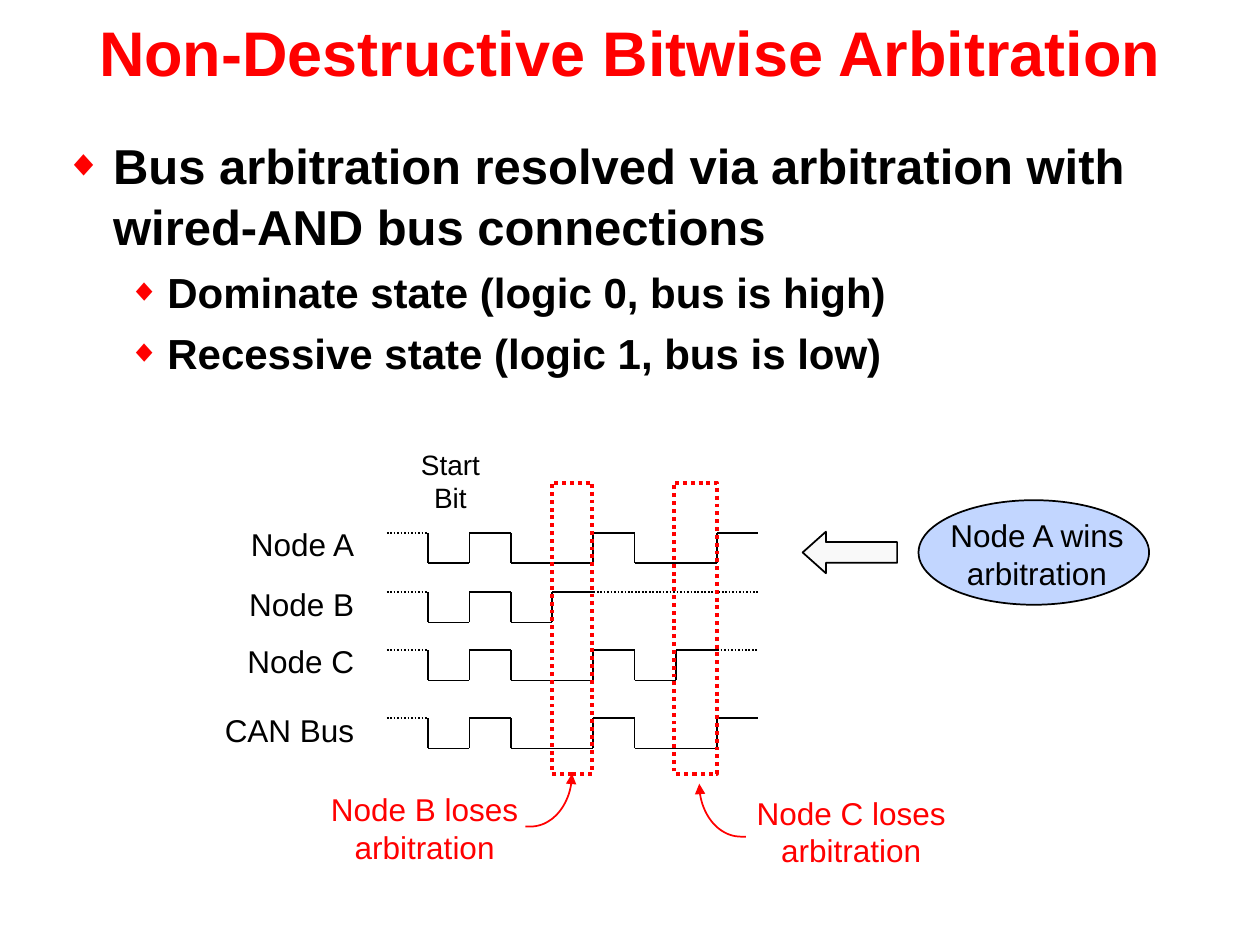
"""Build a slide on bitwise bus arbitration with a timing diagram."""
import math
from dataclasses import dataclass

from lxml import etree
from pptx import Presentation
from pptx import util as u
from pptx.dml.color import RGBColor
from pptx.enum import dml, shapes, text
from pptx.oxml import ns


@dataclass(frozen=True)
class Theme:
    font: str = "Arial"
    ink: RGBColor = RGBColor(0, 0, 0)
    accent: RGBColor = RGBColor(255, 0, 0)
    winner: RGBColor = RGBColor.from_string("C2D6FF")
    arrow: RGBColor = RGBColor.from_string("F9F9F9")
    title: int = 36
    body: int = 28
    detail: int = 24
    label: int = 18
    small: int = 16
    thin: float = 1
    thick: float = 2.25


theme = Theme()
presentation = Presentation()
presentation.slide_width = u.Inches(10)
presentation.slide_height = u.Inches(7.5)
slide = presentation.slides.add_slide(presentation.slide_layouts[6])
cell = presentation.slide_width / 100


def grid(*cells):
    return [u.Emu(round(count * cell)) for count in cells]


def write(lines, box, size, color=theme.ink, align=text.PP_ALIGN.CENTER, bold=False):
    frame = slide.shapes.add_textbox(*grid(*box)).text_frame
    frame.word_wrap = True
    frame.text = "\n".join(lines)
    for paragraph in frame.paragraphs:
        paragraph.alignment = align
        paragraph.font.name = theme.font
        paragraph.font.size = u.Pt(size)
        paragraph.font.color.rgb = color
        paragraph.font.bold = bold
    return frame


title = write(["Non-Destructive Bitwise Arbitration"], (0, 0, 100, 8.1),
              theme.title, theme.accent, bold=True)
title.vertical_anchor = text.MSO_ANCHOR.MIDDLE

points = [
    ("Bus arbitration resolved via arbitration with wired-AND bus connections", 0, theme.body, 3.8, -3.8),
    ("Dominate state (logic 0, bus is high)", 1, theme.detail, 8.1, -3.1),
    ("Recessive state (logic 1, bus is low)", 1, theme.detail, 8.1, -3.1),
]
body = slide.shapes.add_textbox(*grid(4.2, 10, 90, 22.5)).text_frame
body.word_wrap = True
body.text = "\n".join(point[0] for point in points)
for paragraph, (wording, level, size, margin, indent) in zip(body.paragraphs, points):
    properties = paragraph._p.get_or_add_pPr()
    for name, length in zip(("marL", "indent"), grid(margin, indent)):
        properties.set(name, str(length))
    bullet_color = etree.SubElement(properties, ns.qn("a:buClr"))
    etree.SubElement(bullet_color, ns.qn("a:srgbClr"), val=str(theme.accent))
    etree.SubElement(properties, ns.qn("a:buSzPct"), val="75000")
    etree.SubElement(properties, ns.qn("a:buFont"), typeface=theme.font)
    etree.SubElement(properties, ns.qn("a:buChar"), char="◆")
    paragraph.level = level
    paragraph.line_spacing = 1.05
    if level:
        paragraph.space_before = u.Pt(size * 0.2)
    paragraph.font.name = theme.font
    paragraph.font.size = u.Pt(size)
    paragraph.font.bold = True
    paragraph.font.color.rgb = theme.ink

ellipse = slide.shapes.add_shape(shapes.MSO_SHAPE.OVAL, *grid(72.9, 39.7, 18.3, 8.3))
write(["Node A wins arbitration"], (72.7, 40.5, 19.2, 7), theme.label)
write(["Start", "Bit"], (32.4, 35, 6.7, 6.4), theme.small)

first_edge, last_edge, bits = 30.7, 60.2, 9
edges = [first_edge + (last_edge - first_edge) * bit / bits for bit in range(bits + 1)]
swing = 2.4
signals = [
    ("Node A", 42.3, ".LHLLHLLH"),
    ("Node B", 47, ".LHLH."),
    ("Node C", 51.6, ".LHLLHLH."),
    ("CAN Bus", 57, ".LHLLHLLH"),
]
segments = []
for name, high, levels in signals:
    write([name], (16, high - 1.1, 13.1, 4), theme.label, align=text.PP_ALIGN.RIGHT)
    heights = [high + swing * (level == "L") for level in levels]
    for bit, (level, height) in enumerate(zip(levels, heights)):
        finish = edges[-1] if bit == len(levels) - 1 else edges[bit + 1]
        segments.append((edges[bit], height, finish, height, level == "."))
        if bit and heights[bit - 1] != height:
            segments.append((edges[bit], high, edges[bit], high + swing, False))

for *ends, idle in segments:
    segment = slide.shapes.add_connector(shapes.MSO_CONNECTOR.STRAIGHT, *grid(*ends))
    segment.line.color.rgb = theme.ink
    segment.line.width = u.Pt(theme.thin)
    if idle:
        segment.line.dash_style = dml.MSO_LINE.ROUND_DOT
    etree.SubElement(segment._element.spPr, ns.qn("a:effectLst"))

outlined = [(ellipse, theme.winner, theme.ink, theme.thin)]
losses = [
    ("Node B loses arbitration", (23.5, 62.2, 20.4, 7), (43.8, 38.3, 3.2, 23.1), (42.1, 61.4), 1),
    ("Node C loses arbitration", (57.5, 62.5, 20.1, 7), (53.5, 38.3, 3.4, 23.1), (58.8, 62.2), -1),
]
radius_x, radius_y, lead, steps = 3.3, 4.2, 0.4, 24
for wording, label_box, window_box, (center_x, center_y), side in losses:
    write([wording], label_box, theme.label, theme.accent)
    window = slide.shapes.add_shape(shapes.MSO_SHAPE.RECTANGLE, *grid(*window_box))
    angles = [math.pi / 2 * step / steps for step in range(steps + 1)]
    curve = [grid(center_x + side * radius_x * math.sin(angle), center_y + radius_y * math.cos(angle))
             for angle in angles]
    builder = slide.shapes.build_freeform(*grid(center_x - side * lead, center_y + radius_y))
    builder.add_line_segments(curve, close=False)
    pointer = builder.convert_to_shape()
    outlined += [(window, None, theme.accent, theme.thick), (pointer, None, theme.accent, theme.thin)]
    window.line.dash_style = dml.MSO_LINE.ROUND_DOT
    etree.SubElement(pointer.line._get_or_add_ln(), ns.qn("a:tailEnd"), type="triangle")

block_arrow = slide.shapes.add_shape(shapes.MSO_SHAPE.LEFT_ARROW, *grid(63.7, 42.2, 7.5, 3.3))
block_arrow.adjustments[0] = 0.5
block_arrow.adjustments[1] = 0.56
outlined.append((block_arrow, theme.arrow, theme.ink, theme.thin))

for shape, fill, line, width in outlined:
    shape.shadow.inherit = False
    shape.line.color.rgb = line
    shape.line.width = u.Pt(width)
    if fill is None:
        shape.fill.background()
    else:
        shape.fill.solid()
        shape.fill.fore_color.rgb = fill

presentation.save("out.pptx")
